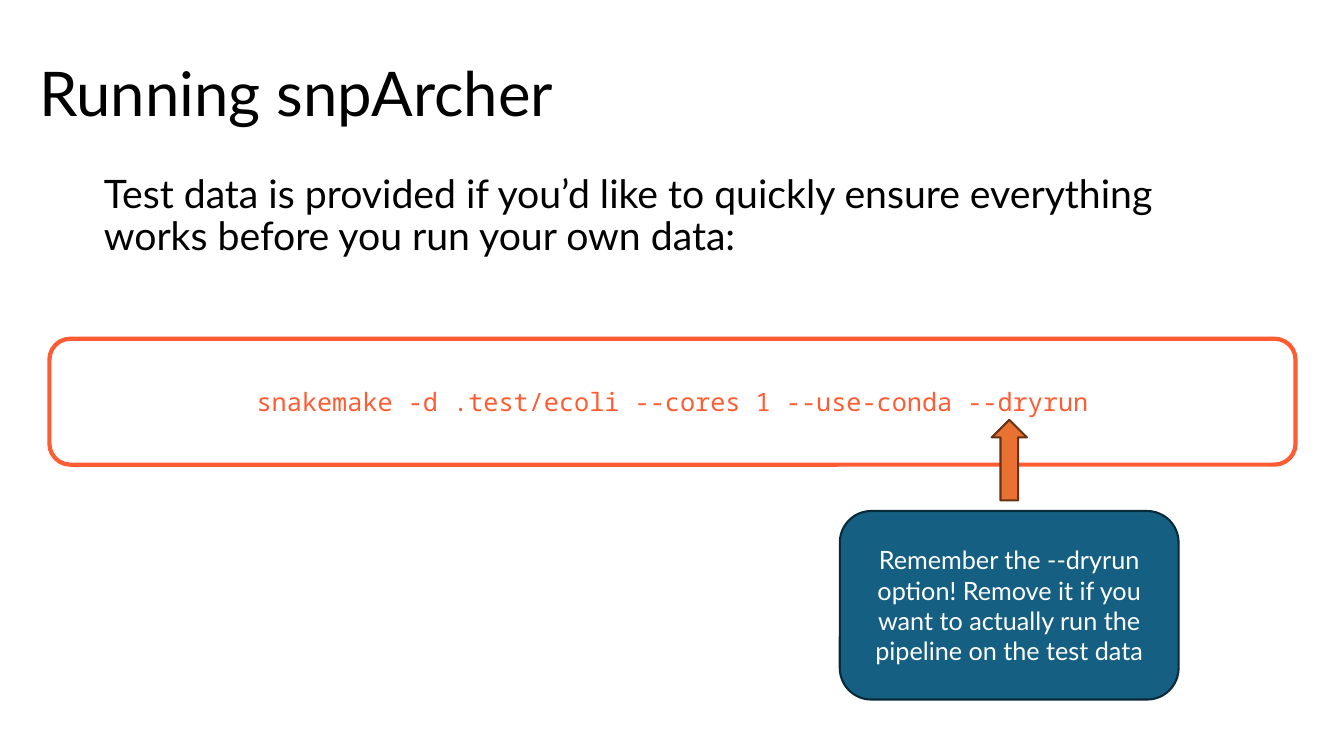
from pptx import Presentation
from pptx.dml.color import RGBColor
from pptx.enum.shapes import MSO_SHAPE
from pptx.enum.text import MSO_ANCHOR, MSO_AUTO_SIZE, PP_ALIGN
from pptx.oxml.ns import qn
from pptx.util import Inches, Pt
from lxml.etree import SubElement

SANS, MONO = "Lato", "Noto Sans Mono"
BLACK, WHITE = "000000", "FFFFFF"
CORAL, TEAL, NAVY = "FF5C33", "156082", "092A39"
ORANGE, BROWN = "E97132", "663216"


def color(code):
    return RGBColor.from_string(code)


class Deck:
    def __init__(self):
        self.show = Presentation()
        self.show.slide_width = Inches(13.33)
        self.show.slide_height = Inches(7.5)
        self.slide = self.show.slides.add_slide(self.show.slide_layouts[1])

    def label(self, shape, text, size, ink, face, align, anchor):
        frame = shape.text_frame
        frame.word_wrap = True
        frame.auto_size = MSO_AUTO_SIZE.NONE
        frame.vertical_anchor = anchor
        frame.text = text
        para = frame.paragraphs[0]
        para.alignment = align
        para.font.size = Pt(size)
        para.font.name = face
        para.font.color.rgb = color(ink)
        return para

    def holder(self, index, box, text, size, anchor):
        """Move and fill a template placeholder, without a bullet."""
        shape = self.slide.placeholders[index]
        shape.left, shape.top, shape.width, shape.height = map(Inches, box)
        para = self.label(shape, text, size, BLACK, SANS, PP_ALIGN.LEFT, anchor)
        para.line_spacing = 0.9
        para.space_before = Pt(0)
        props = para._p.get_or_add_pPr()
        props.set("marL", "0")
        props.set("indent", "0")
        props.insert_element_before(SubElement(props, qn("a:buNone")), "a:defRPr")

    def shape(self, kind, box, fill, line, weight):
        shape = self.slide.shapes.add_shape(kind, *map(Inches, box))
        shape.shadow.inherit = False
        if fill:
            shape.fill.solid()
            shape.fill.fore_color.rgb = color(fill)
        else:
            shape.fill.background()
        shape.line.color.rgb = color(line)
        shape.line.width = Pt(weight)
        return shape

    def panel(self, box, text, ink, face, fill, line, weight):
        """Draw a rounded box with centred text."""
        shape = self.shape(MSO_SHAPE.ROUNDED_RECTANGLE, box, fill, line, weight)
        self.label(shape, text, 18, ink, face, PP_ALIGN.CENTER, MSO_ANCHOR.MIDDLE)

    def arrow(self, box, turn):
        shape = self.shape(MSO_SHAPE.LEFT_ARROW, box, ORANGE, BROWN, 1.5)
        shape.rotation = turn


def main():
    deck = Deck()
    deck.holder(0, (0.29, 0.23, 11.5, 1.45), "Running snpArcher", 44, MSO_ANCHOR.MIDDLE)
    deck.holder(1, (0.93, 1.68, 11.5, 4.76),
                "Test data is provided if you’d like to quickly ensure everything "
                "works before you run your own data:", 28, MSO_ANCHOR.TOP)
    deck.panel((0.49, 3.36, 12.36, 1.25),
               "snakemake -d .test/ecoli --cores 1 --use-conda --dryrun",
               CORAL, MONO, None, CORAL, 3)
    deck.panel((8.33, 5.07, 3.36, 1.87),
               "Remember the --dryrun option! Remove it if you want to actually "
               "run the pipeline on the test data", WHITE, SANS, TEAL, NAVY, 1.5)
    deck.arrow((9.61, 4.39, 0.8, 0.35), 90)
    deck.show.save("out.pptx")


if __name__ == "__main__":
    main()
